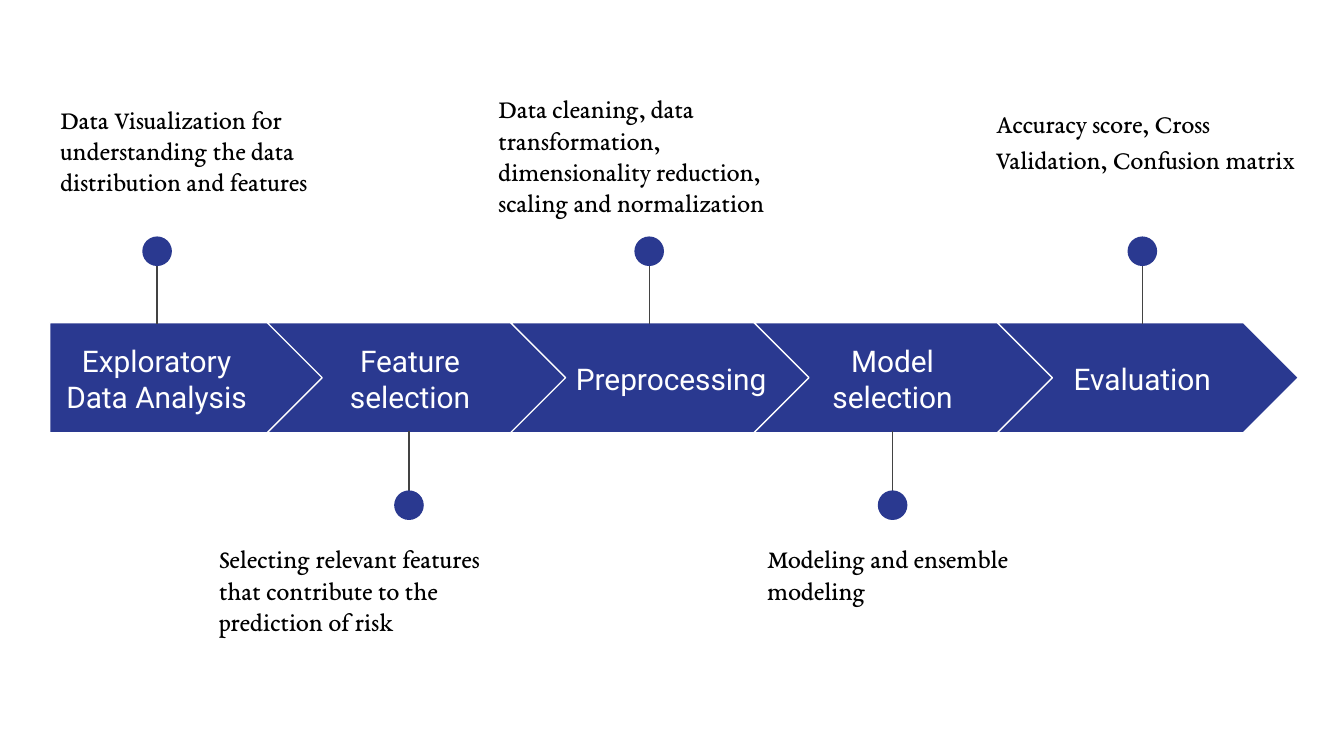
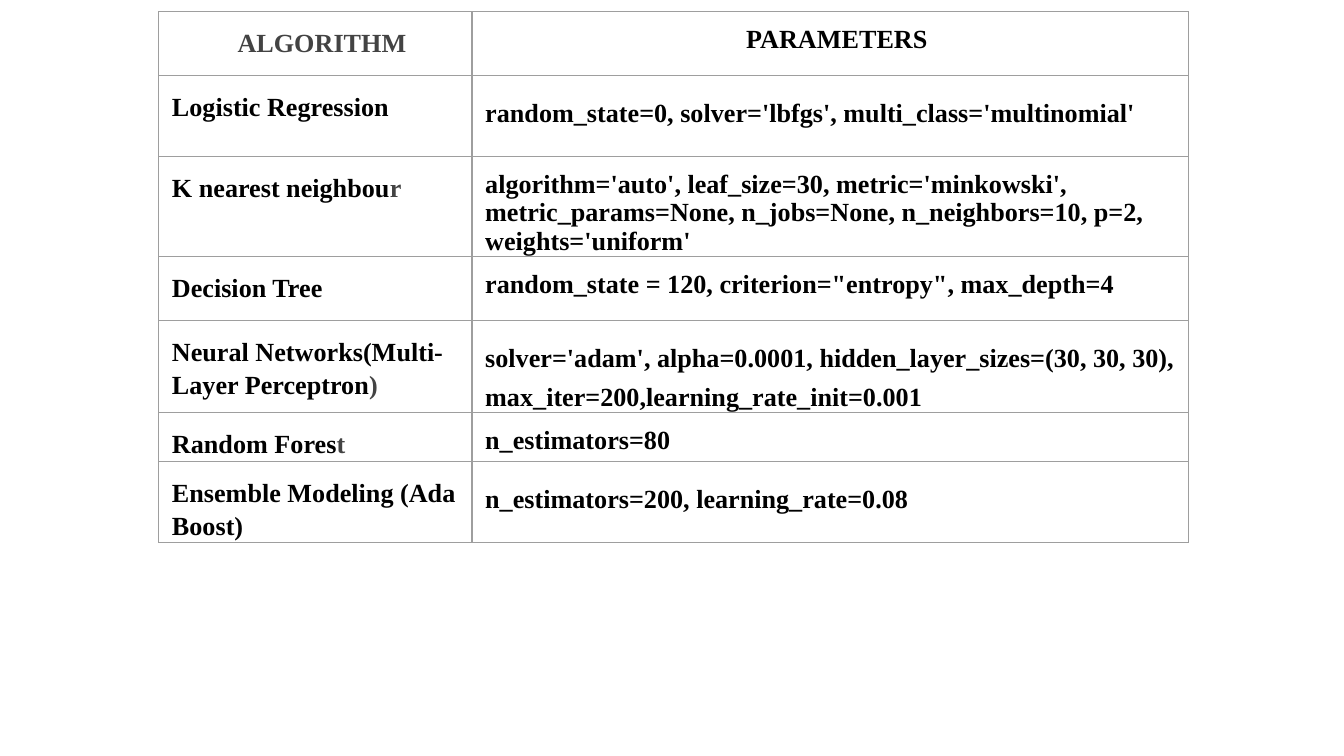
from lxml import etree
from pptx import Presentation
from pptx.dml.color import RGBColor
from pptx.enum.shapes import MSO_CONNECTOR, MSO_SHAPE
from pptx.enum.text import MSO_ANCHOR, PP_ALIGN
from pptx.oxml.ns import qn
from pptx.util import Cm, Pt

STRAIGHT = MSO_CONNECTOR.STRAIGHT
PENTAGON, CHEVRON, OVAL = MSO_SHAPE.PENTAGON, MSO_SHAPE.CHEVRON, MSO_SHAPE.OVAL
TOP, MIDDLE = MSO_ANCHOR.TOP, MSO_ANCHOR.MIDDLE
LEFT, CENTER = PP_ALIGN.LEFT, PP_ALIGN.CENTER

COLORS = {
    "blue": "2A3990",
    "white": "FFFFFF",
    "black": "000000",
    "gray": "434343",
    "border": "9E9E9E",
}
LINE_WIDTH = Pt(0.75)
INSET = Cm(0.25)

LABEL_FONT = {"name": "Roboto", "size": Pt(16)}
NOTE_FONT = {"name": "EB Garamond", "size": Pt(14)}
TABLE_FONT = {"name": "Times New Roman", "size": Pt(14), "bold": True}
LABEL_PARA = {"alignment": CENTER}
NOTE_PARA = {"alignment": LEFT}
SPACED_PARA = {"line_spacing": 1.15, "space_after": Pt(16)}

BAND_TOP, BAND_HEIGHT = 6.1, 2.08
STEP_PITCH, STEP_WIDTH = 4.6, 5.69
FIRST_LEFT, FIRST_WIDTH, SECOND_LEFT = 0.94, 5.21, 5.05
DOT_SIZE = 0.56
# Above or below the band: line start, line end, top of the dot
PIN_ABOVE = (4.57, 6.12, 4.47)
PIN_BELOW = (9.7, 8.15, 9.27)

# Label, its left and width; pin, its centre; note, its left, top and format
STEPS = [
    ("Exploratory Data Analysis", 0.94, 4.04, PIN_ABOVE, 2.97,
     "Data Visualization for understanding the data distribution and features",
     0.89, 1.7, NOTE_PARA),
    ("Feature selection", 5.92, 3.66, PIN_BELOW, 7.73,
     "Selecting relevant features that contribute to the prediction of risk",
     3.89, 10.01, NOTE_PARA),
    ("Preprocessing", 10.46, 4.45, PIN_ABOVE, 12.27,
     "Data cleaning, data transformation, dimensionality reduction, "
     "scaling and normalization", 9.17, 1.5, NOTE_PARA),
    ("Model selection", 15.04, 3.66, PIN_BELOW, 16.87,
     "Modeling and ensemble modeling", 14.25, 10.01, NOTE_PARA),
    ("Evaluation", 19.76, 3.66, PIN_ABOVE, 21.59,
     "Accuracy score, Cross Validation, Confusion matrix",
     18.57, 1.7, SPACED_PARA),
]

COLUMN_WIDTHS = (5.92, 13.54)
# Row height, algorithm, its gray ending, parameters, their line spacing
ALGORITHMS = [
    (1.21, "", "ALGORITHM", "PARAMETERS", 1.0),
    (1.53, "Logistic Regression", "",
     "random_state=0, solver='lbfgs', multi_class='multinomial'", 1.36),
    (1.89, "K nearest neighbou", "r",
     "algorithm='auto', leaf_size=30, metric='minkowski', metric_params=None, "
     "n_jobs=None, n_neighbors=10, p=2, weights='uniform'", 1.0),
    (1.21, "Decision Tree", "",
     "random_state = 120, criterion=\"entropy\", max_depth=4", 1.0),
    (1.74, "Neural Networks(Multi-Layer Perceptron", ")",
     "solver='adam', alpha=0.0001, hidden_layer_sizes=(30, 30, 30), "
     "max_iter=200,learning_rate_init=0.001", 1.36),
    (0.93, "Random Fores", "t", "n_estimators=80", 1.0),
    (1.53, "Ensemble Modeling (Ada Boost)", "",
     "n_estimators=200, learning_rate=0.08", 1.36),
]


def rgb(color):
    return RGBColor.from_string(COLORS[color])


def set_attributes(target, values):
    for name, value in values.items():
        setattr(target, name, value)


def write_paragraph(frame, spans, font, para_format):
    """Fill the first paragraph with (text, colour) spans."""
    para = frame.paragraphs[0]
    set_attributes(para, para_format)
    for text, color in spans:
        if text:
            span = para.add_run()
            span.text = text
            set_attributes(span.font, font)
            span.font.color.rgb = rgb(color)


def add_text(page, text, place, font, color, para_format, anchor):
    box = page.shapes.add_textbox(*map(Cm, place))
    frame = box.text_frame
    set_attributes(frame, {
        "word_wrap": True, "vertical_anchor": anchor,
        "margin_left": INSET, "margin_top": INSET,
        "margin_right": INSET, "margin_bottom": INSET,
    })
    write_paragraph(frame, [(text, color)], font, para_format)


def add_blue_shape(shapes, kind, place, outline=None):
    shape = shapes.add_shape(kind, *map(Cm, place))
    shape.shadow.inherit = False
    shape.fill.solid()
    shape.fill.fore_color.rgb = rgb("blue")
    if outline:
        shape.line.color.rgb = rgb(outline)
        shape.line.width = LINE_WIDTH
    else:
        shape.line.fill.background()


def add_pin(page, center, pin):
    """Group a stem with the dot at its free end."""
    start, end, dot_top = pin
    shapes = page.shapes.add_group_shape().shapes
    stem = shapes.add_connector(STRAIGHT, Cm(center), Cm(start), Cm(center), Cm(end))
    stem.line.color.rgb = rgb("gray")
    stem.line.width = LINE_WIDTH
    etree.SubElement(stem._element.spPr, qn("a:effectLst"))
    add_blue_shape(shapes, OVAL, (center - DOT_SIZE / 2, dot_top, DOT_SIZE, DOT_SIZE))


def add_step(page, index, step):
    label, label_left, label_width, pin, center, note, note_left, note_top, note_para = step
    if index == 0:
        kind, left, width = PENTAGON, FIRST_LEFT, FIRST_WIDTH
    else:
        kind, width = CHEVRON, STEP_WIDTH
        left = SECOND_LEFT + (index - 1) * STEP_PITCH
    add_blue_shape(page.shapes, kind, (left, BAND_TOP, width, BAND_HEIGHT), "white")
    add_text(page, label, (label_left, 6.5, label_width, 1.3),
             LABEL_FONT, "white", LABEL_PARA, MIDDLE)
    add_pin(page, center, pin)
    add_text(page, note, (note_left, note_top, 6.22, 2.51),
             NOTE_FONT, "black", note_para, TOP)


def set_borders(cell):
    properties = cell._tc.get_or_add_tcPr()
    for index, side in enumerate(("lnL", "lnR", "lnT", "lnB")):
        border = etree.Element(qn("a:" + side), w=str(LINE_WIDTH))
        fill = etree.SubElement(border, qn("a:solidFill"))
        etree.SubElement(fill, qn("a:srgbClr"), val=COLORS["border"])
        properties.insert(index, border)


def write_cell(cell, spans, para_format):
    set_attributes(cell, {"margin_left": INSET, "margin_top": INSET,
                          "margin_right": 0, "margin_bottom": 0})
    cell.fill.background()
    set_borders(cell)
    write_paragraph(cell.text_frame, spans, TABLE_FONT, para_format)


def add_algorithm_table(page):
    height = sum(row[0] for row in ALGORITHMS)
    place = (3, 0.22, sum(COLUMN_WIDTHS), height)
    table = page.shapes.add_table(
        len(ALGORITHMS), len(COLUMN_WIDTHS), *map(Cm, place)).table
    set_attributes(table, {"first_row": False, "horz_banding": False})
    for column, width in zip(table.columns, COLUMN_WIDTHS):
        column.width = Cm(width)
    for index, row in enumerate(ALGORITHMS):
        row_height, name, ending, parameters, spacing = row
        alignment = {"alignment": LEFT if index else CENTER}
        table.rows[index].height = Cm(row_height)
        write_cell(table.cell(index, 0), [(name, "black"), (ending, "gray")],
                   {**SPACED_PARA, **alignment})
        write_cell(table.cell(index, 1), [(parameters, "black")],
                   {"line_spacing": spacing, **alignment})


def main():
    deck = Presentation()
    deck.slide_width, deck.slide_height = Cm(25.4), Cm(14.29)
    blank = deck.slide_layouts[6]

    process_page = deck.slides.add_slide(blank)
    for index, step in enumerate(STEPS):
        add_step(process_page, index, step)

    add_algorithm_table(deck.slides.add_slide(blank))
    deck.save("out.pptx")


if __name__ == "__main__":
    main()
